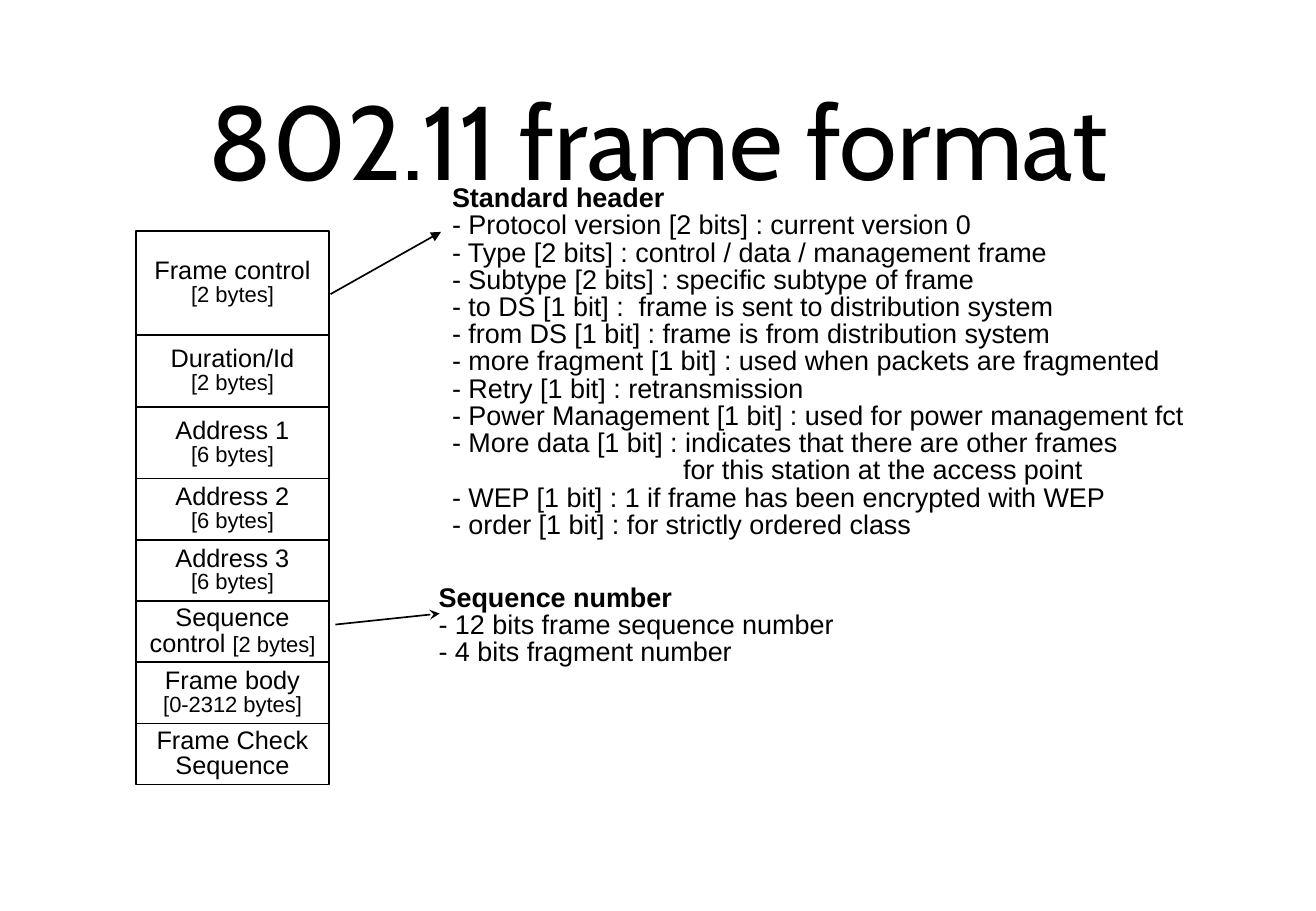
"""Build a slide that explains the 802.11 frame format."""
from lxml.etree import SubElement
from pptx import Presentation
from pptx.dml.color import RGBColor
from pptx.enum.shapes import MSO_CONNECTOR, MSO_SHAPE
from pptx.enum.text import MSO_ANCHOR, PP_ALIGN
from pptx.oxml.ns import qn
from pptx.util import Cm, Pt

BLACK = RGBColor(0x00, 0x00, 0x00)
LINE_SPACING = 0.84
CONTINUATION_INDENT = 4.83

FIELDS = [
    (2.18, ["Frame control"], "[2 bytes]"),
    (1.5, ["Duration/Id"], "[2 bytes]"),
    (1.5, ["Address 1"], "[6 bytes]"),
    (1.28, ["Address 2"], "[6 bytes]"),
    (1.28, ["Address 3"], "[6 bytes]"),
    (1.28, ["Sequence", "control "], "[2 bytes]"),
    (1.28, ["Frame body"], "[0-2312 bytes]"),
    (1.28, ["Frame Check", "Sequence"], ""),
]
HEADER_BITS = [
    "- Protocol version [2 bits] : current version 0",
    "- Type [2 bits] : control / data / management frame",
    "- Subtype [2 bits] : specific subtype of frame",
    "- to DS [1 bit] :  frame is sent to distribution system",
    "- from DS [1 bit] : frame is from distribution system",
    "- more fragment [1 bit] : used when packets are fragmented",
    "- Retry [1 bit] : retransmission",
    "- Power Management [1 bit] : used for power management fct",
    "- More data [1 bit] : indicates that there are other frames",
    "for this station at the access point",
    "- WEP [1 bit] : 1 if frame has been encrypted with WEP",
    "- order [1 bit] : for strictly ordered class",
]
SEQUENCE_BITS = [
    "- 12 bits frame sequence number",
    "- 4 bits fragment number",
]


def set_margins(frame, margin):
    """Wrap the text and give the frame the same margin on all sides."""
    frame.word_wrap = True
    frame.margin_left = frame.margin_right = Cm(margin)
    frame.margin_top = frame.margin_bottom = Cm(margin)


def style(paragraph, size, name="Arial", bold=False):
    """Set the font of a whole paragraph."""
    paragraph.font.name = name
    paragraph.font.size = Pt(size)
    paragraph.font.bold = bold
    paragraph.font.color.rgb = BLACK


def add_title(slide, left, top, width, height):
    """Place the centred heading in its box."""
    frame = slide.shapes.add_textbox(Cm(left), Cm(top), Cm(width), Cm(height)).text_frame
    set_margins(frame, 0.1)
    frame.vertical_anchor = MSO_ANCHOR.MIDDLE
    heading = frame.paragraphs[0]
    heading.text = "802.11 frame format"
    heading.alignment = PP_ALIGN.CENTER
    style(heading, 62, "Cabin")


def add_field(slide, left, top, width, height, name_lines, octets):
    """Draw one frame field with its name and its length."""
    field = slide.shapes.add_shape(
        MSO_SHAPE.RECTANGLE, Cm(left), Cm(top), Cm(width), Cm(height))
    field.shadow.inherit = False
    field.fill.background()
    field.line.color.rgb = BLACK
    field.line.width = Pt(1)
    frame = field.text_frame
    set_margins(frame, 0)
    frame.vertical_anchor = MSO_ANCHOR.MIDDLE
    label = frame.paragraphs[0]
    label.text = " ".join(name_lines)
    style(label, 15)
    if octets and len(name_lines) > 1:
        length = label.add_run()
        length.text = octets
        length.font.size = Pt(13)
    elif octets:
        length = frame.add_paragraph()
        length.text = octets
        style(length, 13)
    for paragraph in frame.paragraphs:
        paragraph.alignment = PP_ALIGN.CENTER
        paragraph.line_spacing = LINE_SPACING


def add_frame_stack(slide, left, top, width):
    """Stack the fields of the frame from top to bottom."""
    for height, name_lines, octets in FIELDS:
        add_field(slide, left, top, width, height, name_lines, octets)
        top += height


def add_note(slide, left, top, width, height, heading, details):
    """Write a bold heading and the details of a field below it."""
    frame = slide.shapes.add_textbox(Cm(left), Cm(top), Cm(width), Cm(height)).text_frame
    set_margins(frame, 0)
    title = frame.paragraphs[0]
    title.text = heading
    title.line_spacing = LINE_SPACING
    style(title, 16, bold=True)
    for detail in details:
        entry = frame.add_paragraph()
        entry.text = detail
        entry.line_spacing = LINE_SPACING
        style(entry, 16)
        if not detail.startswith("-"):
            entry._p.get_or_add_pPr().set("marL", str(Cm(CONTINUATION_INDENT)))


def add_arrow(slide, start_x, start_y, end_x, end_y, head):
    """Draw an arrow from a field to its note."""
    arrow = slide.shapes.add_connector(
        MSO_CONNECTOR.STRAIGHT, Cm(start_x), Cm(start_y), Cm(end_x), Cm(end_y))
    arrow.line.color.rgb = BLACK
    arrow.line.width = Pt(1)
    SubElement(arrow.line._get_or_add_ln(), qn("a:tailEnd"), type=head)
    SubElement(arrow._element.spPr, qn("a:effectLst"))


def main():
    """Build the slide and save it."""
    presentation = Presentation()
    presentation.slide_width = Cm(27.51)
    presentation.slide_height = Cm(19.05)
    slide = presentation.slides.add_slide(presentation.slide_layouts[6])
    add_title(slide, 2.69, 0.51, 22.15, 4.78)
    add_frame_stack(slide, 2.84, 4.83, 4.04)
    add_note(slide, 9.45, 3.89, 16.5, 8.05, "Standard header", HEADER_BITS)
    add_arrow(slide, 6.91, 6.15, 9.22, 4.85, "triangle")
    add_note(slide, 9.17, 12.24, 8.6, 1.75, "Sequence number", SEQUENCE_BITS)
    add_arrow(slide, 7.01, 13.06, 9.19, 12.83, "stealth")
    presentation.save("out.pptx")


if __name__ == "__main__":
    main()
